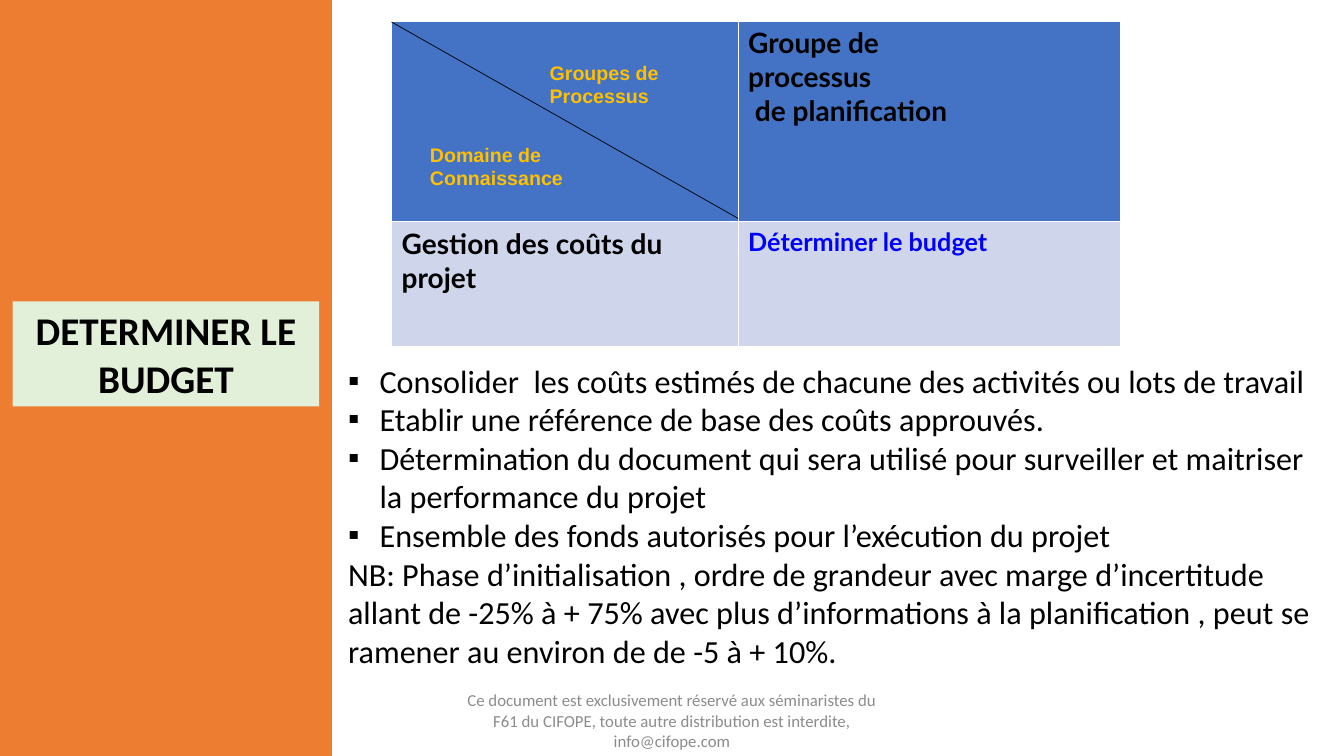
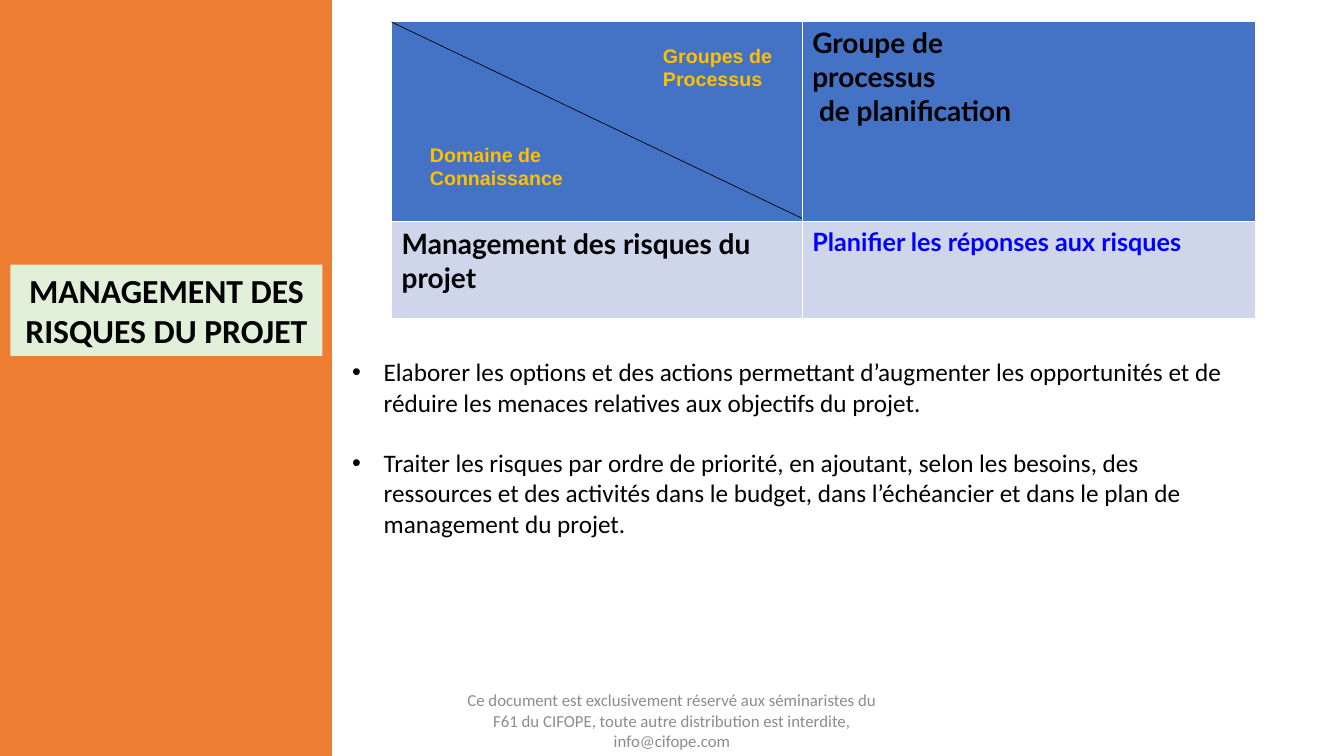
from lxml.etree import SubElement
from pptx import Presentation
from pptx.dml.color import RGBColor
from pptx.enum.shapes import MSO_CONNECTOR as Connector, MSO_SHAPE as Shape
from pptx.enum.text import MSO_ANCHOR as Anchor, PP_ALIGN as Align
from pptx.oxml.ns import qn
from pptx.util import Emu, Pt

EMU_PER_PX = 9525
WIDTH, HEIGHT = 1280, 720
TABLE_LEFT, TABLE_TOP = 373, 20
ORANGE, PALE_GREEN = "ED7D31", "E2F0D9"
BLUE, PALE_BLUE, LINK_BLUE = "4472C4", "CFD5EA", "0000FF"
GOLD, GREY, BLACK = "FFC000", "8C8C8C", "000000"
FOOTER = ("Ce document est exclusivement réservé aux séminaristes du F61 du CIFOPE, "
          "toute autre distribution est interdite, info@cifope.com")


def px(length):
    return Emu(length * EMU_PER_PX)


def rgb(value):
    return RGBColor.from_string(value)


def style_text(paragraph, size, color=BLACK, font="Calibri", bold=False, align=Align.LEFT):
    paragraph.alignment = align
    for run in paragraph.runs:
        run.font.name = font
        run.font.size = Pt(size)
        run.font.bold = bold
        run.font.color.rgb = rgb(color)


def add_bullet(paragraph, symbol, indent=30):
    properties = paragraph._p.get_or_add_pPr()
    properties.set("marL", str(px(indent)))
    properties.set("indent", str(-px(indent)))
    SubElement(properties, qn("a:buFont")).set("typeface", "Arial")
    SubElement(properties, qn("a:buChar")).set("char", symbol)


class Deck:
    def __init__(self):
        self.prs = Presentation()
        self.prs.slide_width, self.prs.slide_height = px(WIDTH), px(HEIGHT)
        self.slide = None

    def new_slide(self):
        """Start a slide with its orange side band."""
        self.slide = self.prs.slides.add_slide(self.prs.slide_layouts[6])
        self.rectangle(0, 0, 316, HEIGHT, ORANGE)

    def rectangle(self, x, y, width, height, fill):
        box = self.slide.shapes.add_shape(
            Shape.RECTANGLE, px(x), px(y), px(width), px(height))
        box.shadow.inherit = False
        box.fill.solid()
        box.fill.fore_color.rgb = rgb(fill)
        box.line.fill.background()
        return box

    def title(self, text, x, y, width, height, size):
        frame = self.rectangle(x, y, width, height, PALE_GREEN).text_frame
        frame.word_wrap = True
        frame.text = text
        style_text(frame.paragraphs[0], size, bold=True, align=Align.CENTER)

    def text_box(self, text, x, y, width, height):
        frame = self.slide.shapes.add_textbox(px(x), px(y), px(width), px(height)).text_frame
        frame.word_wrap = True
        frame.text = text
        return frame

    def axis_label(self, text, x, y):
        for paragraph in self.text_box(text, x, y, 170, 54).paragraphs:
            style_text(paragraph, 14, GOLD, "Arial", True)

    def matrix(self, domain, process, columns, rows, groups_at):
        """Draw the table whose first cell is split by a diagonal."""
        table = self.slide.shapes.add_table(
            2, 2, px(TABLE_LEFT), px(TABLE_TOP), px(sum(columns)), px(sum(rows))).table
        for column, width in zip(table.columns, columns):
            column.width = px(width)
        for row, height in zip(table.rows, rows):
            row.height = px(height)
        cells = [("", BLUE, 20, BLACK),
                 ("Groupe de \vprocessus\v de planification", BLUE, 20, BLACK),
                 (domain, PALE_BLUE, 20, BLACK),
                 (process, PALE_BLUE, 18, LINK_BLUE)]
        for cell, (text, fill, size, color) in zip(table.iter_cells(), cells):
            cell.fill.solid()
            cell.fill.fore_color.rgb = rgb(fill)
            cell.text_frame.text = text
            style_text(cell.text_frame.paragraphs[0], size, color, "Lato", True)

        diagonal = self.slide.shapes.add_connector(
            Connector.STRAIGHT, px(TABLE_LEFT), px(TABLE_TOP + 1),
            px(TABLE_LEFT + columns[0]), px(208))
        diagonal.line.color.rgb = rgb(BLACK)
        diagonal.line.width = Pt(0.5)
        SubElement(diagonal._element.spPr, qn("a:effectLst"))
        self.axis_label("Groupes de\nProcessus", *groups_at)
        self.axis_label("Domaine de\nConnaissance", 400, 131)

    def body(self, points, symbol, box, size, gap=0, note=None):
        """Write bulleted points, then an optional note without a bullet."""
        lines = points + ([note] if note else [])
        frame = self.text_box("\n".join(lines), *box)
        for index, paragraph in enumerate(frame.paragraphs):
            if index < len(points):
                add_bullet(paragraph, symbol)
            if index and gap:
                paragraph.space_before = Pt(gap)
            style_text(paragraph, size)

    def footer(self):
        frame = self.text_box(FOOTER, 424, 667, 432, 38)
        frame.vertical_anchor = Anchor.MIDDLE
        style_text(frame.paragraphs[0], 12, GREY, align=Align.CENTER)


def main():
    deck = Deck()

    deck.new_slide()
    deck.title("DETERMINER LE BUDGET", 12, 287, 292, 100, 28)
    deck.matrix("Gestion des coûts du projet", "Déterminer le budget",
                (330, 364), (191, 119), (514, 53))
    deck.body(
        ["Consolider  les coûts estimés de chacune des activités ou lots de travail",
         "Etablir une référence de base des coûts approuvés.",
         "Détermination du document qui sera utilisé pour surveiller et maitriser "
         "la performance du projet",
         "Ensemble des fonds autorisés pour l’exécution du projet"],
        "▪", (322, 339, 958, 306), 23,
        note="NB: Phase d’initialisation , ordre de grandeur avec marge d’incertitude "
             "allant de -25% à + 75% avec plus d’informations à la planification , "
             "peut se ramener au environ de de -5 à + 10%.")
    deck.footer()

    deck.new_slide()
    deck.title("MANAGEMENT DES RISQUES DU PROJET", 10, 252, 297, 87, 24)
    deck.matrix("Management des risques du projet", "Planifier les réponses aux risques",
                (391, 432), (191, 92), (622, 37))
    deck.body(
        ["Elaborer les options et des actions permettant d’augmenter les opportunités "
         "et de réduire les menaces relatives aux objectifs du projet.",
         "Traiter les risques par ordre de priorité, en ajoutant, selon les besoins, "
         "des ressources et des activités dans le budget, dans l’échéancier et dans "
         "le plan de management du projet."],
        "•", (326, 335, 877, 184), 18, gap=21.6)
    deck.footer()

    deck.prs.save("out.pptx")


if __name__ == "__main__":
    main()
